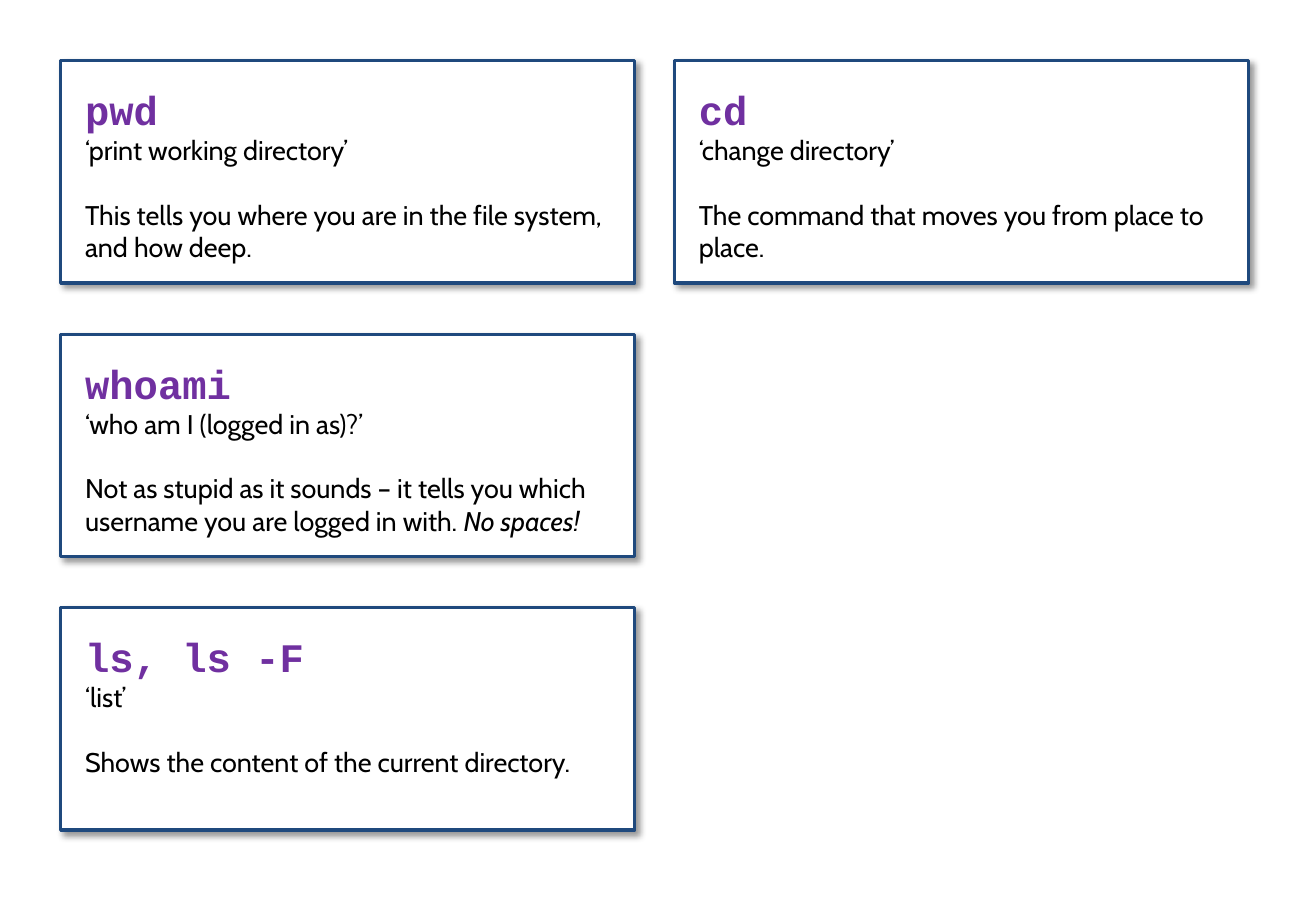
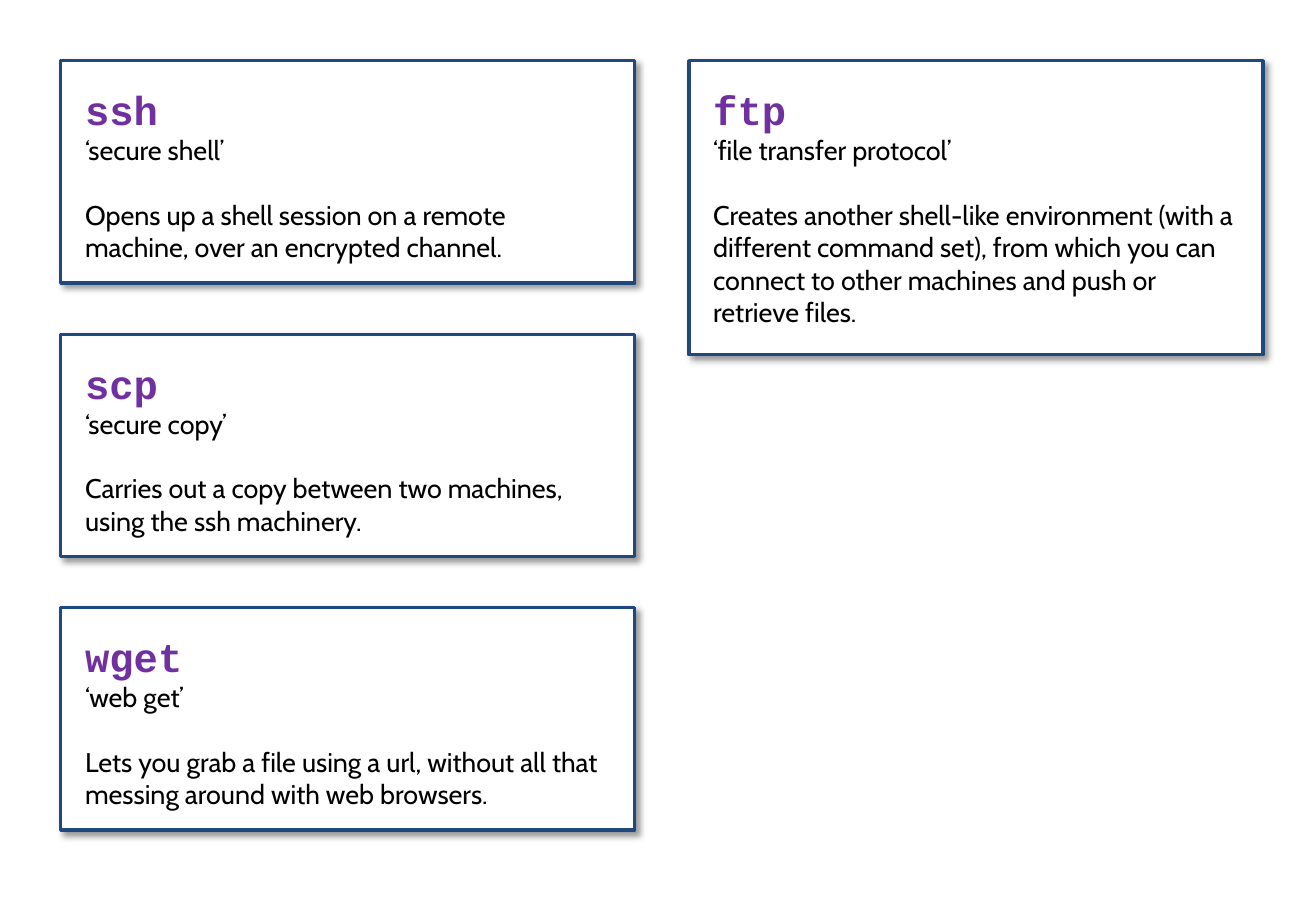
from dataclasses import dataclass

from lxml import etree
from pptx import Presentation
from pptx.dml.color import RGBColor
from pptx.enum.shapes import MSO_SHAPE
from pptx.enum.text import MSO_ANCHOR, PP_ALIGN
from pptx.oxml.ns import qn
from pptx.util import Cm, Pt

RECTANGLE = MSO_SHAPE.RECTANGLE
TOP = MSO_ANCHOR.TOP
LEFT = PP_ALIGN.LEFT
BLANK_LAYOUT = 6


@dataclass(frozen=True)
class Theme:
    paper: str = "FFFFFF"
    border: str = "1F497D"
    command: str = "7030A0"
    body: str = "000000"
    shadow: str = "000000"
    command_font: str = "Courier New"
    body_font: str = "Cabin"
    command_size: float = 24
    body_size: float = 16
    body_gap: float = 19.2
    border_width: float = 2


THEME = Theme()

# Card grid, in centimetres
MARGIN = 1.27
CARD_WIDTH, CARD_HEIGHT = 12, 4.65
ROW_STEP = 5.72


@dataclass(frozen=True)
class Card:
    command: str
    meaning: str
    description: str
    emphasis: str = ""


@dataclass(frozen=True)
class Box:
    left: float
    top: float
    width: float = CARD_WIDTH
    height: float = CARD_HEIGHT


def add_span(para, text, font=THEME.body_font, size=THEME.body_size,
             color=THEME.body, bold=False, italic=False):
    span = para.add_run()
    span.text = text
    span.font.name = font
    span.font.size = Pt(size)
    span.font.color.rgb = RGBColor.from_string(color)
    span.font.bold = bold
    span.font.italic = italic


def add_shadow(shape):
    """Soft shadow, 3 pt down to the right."""
    shape.shadow.inherit = False
    effects = shape._element.spPr.find(qn("a:effectLst"))
    outer = etree.SubElement(
        effects, qn("a:outerShdw"), blurRad=str(Pt(4)), dist=str(Pt(3)),
        dir=str(45 * 60000), algn="tl", rotWithShape="0")
    color = etree.SubElement(outer, qn("a:srgbClr"), val=THEME.shadow)
    etree.SubElement(color, qn("a:alpha"), val="40000")


def add_card(page, box, card):
    # Frame
    shape = page.shapes.add_shape(
        RECTANGLE, Cm(box.left), Cm(box.top), Cm(box.width), Cm(box.height))
    shape.fill.solid()
    shape.fill.fore_color.rgb = RGBColor.from_string(THEME.paper)
    shape.line.color.rgb = RGBColor.from_string(THEME.border)
    shape.line.width = Pt(THEME.border_width)
    add_shadow(shape)

    # Text area
    frame = shape.text_frame
    frame.word_wrap = True
    frame.vertical_anchor = TOP
    frame.margin_left = frame.margin_right = Cm(0.51)
    frame.margin_top = frame.margin_bottom = Cm(0.51)

    # Command, meaning and description
    heading = frame.paragraphs[0]
    meaning, description = frame.add_paragraph(), frame.add_paragraph()
    for para in (heading, meaning, description):
        para.alignment = LEFT
    add_span(heading, card.command, font=THEME.command_font,
             size=THEME.command_size, color=THEME.command, bold=True)
    add_span(meaning, card.meaning)
    description.space_before = Pt(THEME.body_gap)
    add_span(description, card.description)
    if card.emphasis:
        add_span(description, card.emphasis, italic=True)


def add_card_page(deck, column, side_card, side_box):
    """A column of cards on the left and one card on the right."""
    page = deck.slides.add_slide(deck.slide_layouts[BLANK_LAYOUT])
    for row, card in enumerate(column):
        add_card(page, Box(MARGIN, MARGIN + row * ROW_STEP), card)
    add_card(page, side_box, side_card)


LOCAL_COMMANDS = [
    Card("pwd", "‘print working directory’",
         "This tells you where you are in the file system, and how deep."),
    Card("whoami", "‘who am I (logged in as)?’",
         "Not as stupid as it sounds – it tells you which username you are "
         "logged in with. ", emphasis="No spaces!"),
    Card("ls, ls -F", "‘list’", "Shows the content of the current directory."),
]
CHANGE_DIRECTORY = Card("cd", "‘change directory’",
                        "The command that moves you from place to place.")

REMOTE_COMMANDS = [
    Card("ssh", "‘secure shell’",
         "Opens up a shell session on a remote machine, over an encrypted "
         "channel."),
    Card("scp", "‘secure copy’",
         "Carries out a copy between two machines, using the ssh machinery."),
    Card("wget", "‘web get’",
         "Lets you grab a file using a url, without all that messing around "
         "with web browsers."),
]
FILE_TRANSFER = Card(
    "ftp", "‘file transfer protocol’",
    "Creates another shell-like environment (with a different command set), "
    "from which you can connect to other machines and push or retrieve files.")


def main():
    deck = Presentation()
    deck.slide_width, deck.slide_height = Cm(27.51), Cm(19.05)
    add_card_page(deck, LOCAL_COMMANDS, CHANGE_DIRECTORY, Box(14.1, MARGIN))
    add_card_page(deck, REMOTE_COMMANDS, FILE_TRANSFER,
                  Box(14.4, MARGIN, height=6.15))
    deck.save("out.pptx")


if __name__ == "__main__":
    main()
